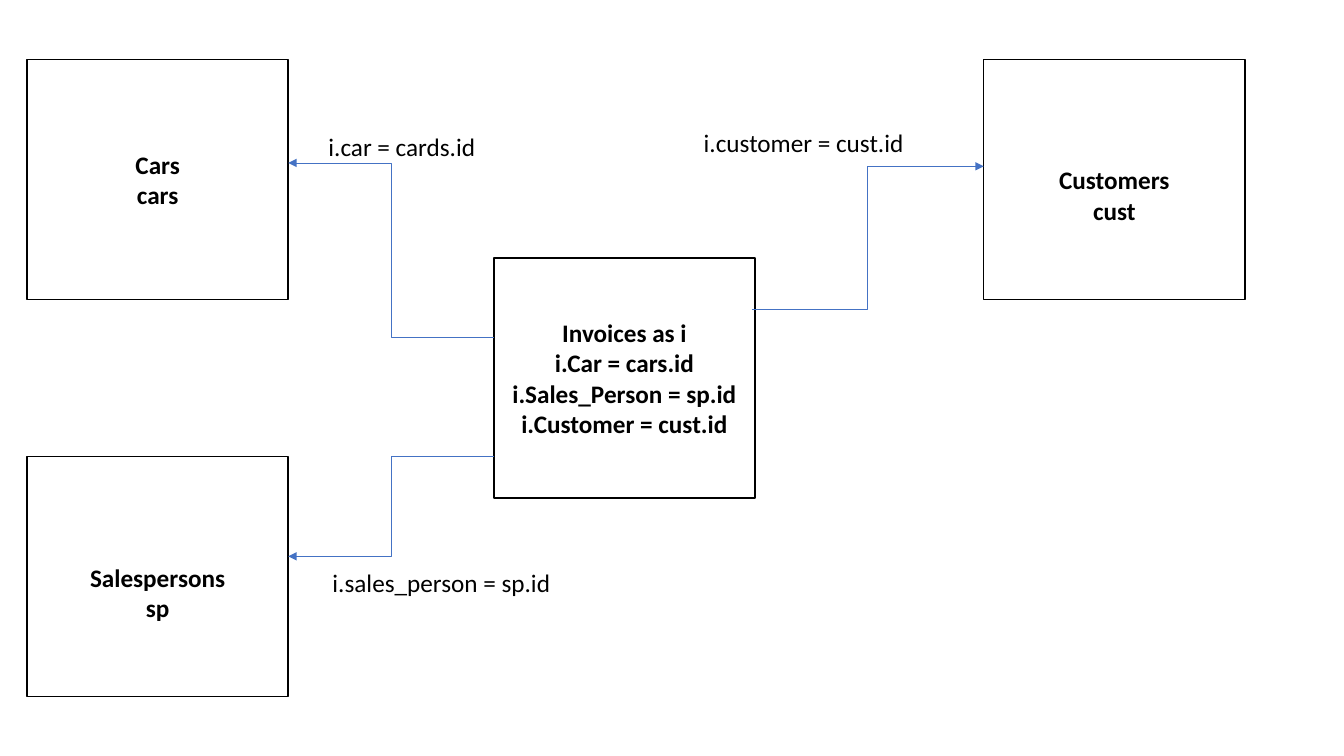
from typing import NamedTuple

from lxml import etree
from pptx import Presentation
from pptx import util as u
from pptx.dml.color import RGBColor
from pptx.enum import shapes, text
from pptx.oxml import ns
from pptx.slide import Slide
from pptx.text.text import TextFrame

COLOURS = {"paper": "FFFFFF", "ink": "000000", "link": "4472C4"}
FONT = "Calibri"
FONT_SIZE = 18
TABLE_WIDTH, TABLE_HEIGHT = 186.5, 171.4
INSET = 3.6
LABEL_HEIGHT = 29
LEFT_COLUMN, MIDDLE_COLUMN, RIGHT_COLUMN = 19.4, 352.8, 702.7
TOP_ROW, MIDDLE_ROW, BOTTOM_ROW = 42.5, 184.3, 326.2
LEFT_EDGE = LEFT_COLUMN + TABLE_WIDTH


class TableBox(NamedTuple):
    """A database table with its alias; drop lowers the text."""
    left: float
    top: float
    lines: tuple[str, ...]
    drop: float = 0


class Join(NamedTuple):
    """An elbow arrow between two tables."""
    from_x: float
    from_y: float
    to_x: float
    to_y: float


class Label(NamedTuple):
    """The condition beside a join."""
    left: float
    top: float
    width: float
    wording: str


TABLES = [
    TableBox(LEFT_COLUMN, TOP_ROW, ("Cars", "cars")),
    TableBox(RIGHT_COLUMN, TOP_ROW, ("Customers", "cust"), 11),
    TableBox(LEFT_COLUMN, BOTTOM_ROW, ("Salespersons", "sp"), 11),
    TableBox(MIDDLE_COLUMN, MIDDLE_ROW,
             ("Invoices as i", "i.Car = cars.id",
              "i.Sales_Person = sp.id", "i.Customer = cust.id")),
]
JOINS = [
    Join(537.1, 221, RIGHT_COLUMN, 118.8),
    Join(MIDDLE_COLUMN, 240.8, LEFT_EDGE, 116.4),
    Join(MIDDLE_COLUMN, 326.2, LEFT_EDGE, 397.4),
]
LABELS = [
    Label(227.5, 90.2, 120.2, "i.car = cards.id"),
    Label(230.4, 402, 172, "i.sales_person = sp.id"),
    Label(495.6, 87.3, 158.4, "i.customer = cust.id"),
]


def colour(name: str) -> RGBColor:
    """Look up a named colour."""
    return RGBColor.from_string(COLOURS[name])


def write_lines(frame: TextFrame, lines: tuple[str, ...], bold: bool,
                align: text.PP_ALIGN) -> None:
    """Write one paragraph for each line."""
    for index, line in enumerate(lines):
        para = frame.add_paragraph() if index else frame.paragraphs[0]
        para.alignment = align
        span = para.add_run()
        span.text = line
        span.font.name = FONT
        span.font.size = u.Pt(FONT_SIZE)
        span.font.bold = bold
        span.font.color.rgb = colour("ink")


def draw_table_box(page: Slide, table: TableBox) -> None:
    """Draw a database table as an outlined rectangle."""
    box = page.shapes.add_shape(
        shapes.MSO_SHAPE.RECTANGLE, u.Pt(table.left), u.Pt(table.top),
        u.Pt(TABLE_WIDTH), u.Pt(TABLE_HEIGHT))
    box.shadow.inherit = False
    box.fill.solid()
    box.fill.fore_color.rgb = colour("paper")
    box.line.color.rgb = colour("ink")
    box.line.width = u.Pt(1)
    frame = box.text_frame
    frame.word_wrap = True
    frame.vertical_anchor = text.MSO_ANCHOR.MIDDLE
    frame.margin_top = u.Pt(INSET + 2 * table.drop)
    write_lines(frame, table.lines, True, text.PP_ALIGN.CENTER)


def draw_join(page: Slide, join: Join) -> None:
    """Draw an elbow connector with an arrowhead at its end."""
    arrow = page.shapes.add_connector(
        shapes.MSO_CONNECTOR.ELBOW, u.Pt(join.from_x), u.Pt(join.from_y),
        u.Pt(join.to_x), u.Pt(join.to_y))
    arrow.line.color.rgb = colour("link")
    arrow.line.width = u.Pt(0.5)
    outline = arrow.line._get_or_add_ln()
    etree.SubElement(outline, ns.qn("a:tailEnd"), type="triangle")
    etree.SubElement(arrow._element.spPr, ns.qn("a:effectLst"))


def draw_label(page: Slide, label: Label) -> None:
    """Write a join condition."""
    box = page.shapes.add_textbox(
        u.Pt(label.left), u.Pt(label.top),
        u.Pt(label.width), u.Pt(LABEL_HEIGHT))
    frame = box.text_frame
    frame.word_wrap = False
    frame.auto_size = text.MSO_AUTO_SIZE.SHAPE_TO_FIT_TEXT
    write_lines(frame, (label.wording,), False, text.PP_ALIGN.LEFT)


def main() -> None:
    """Build and save the deck."""
    deck = Presentation()
    deck.slide_width, deck.slide_height = u.Pt(960), u.Pt(540)
    page = deck.slides.add_slide(deck.slide_layouts.get_by_name("Blank"))
    for table in TABLES:
        draw_table_box(page, table)
    for join in JOINS:
        draw_join(page, join)
    for label in LABELS:
        draw_label(page, label)
    deck.save("out.pptx")


main()
